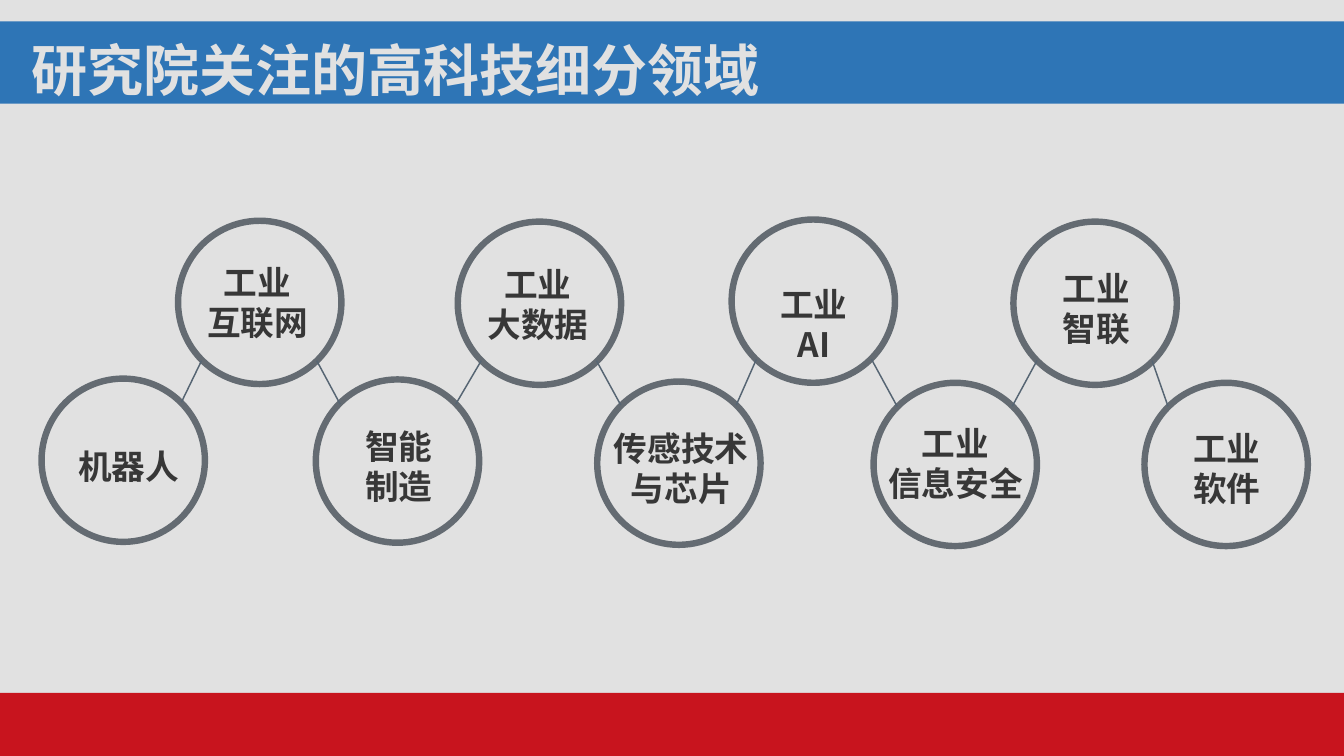
from lxml import etree
from pptx import Presentation
from pptx import util as u
from pptx.dml.color import RGBColor
from pptx.enum import shapes, text
from pptx.oxml.ns import qn

COLORS = {
    "background": "E1E1E1",
    "header": "2E75B6",
    "footer": "C8141E",
    "title": "E1E1E1",
    "label": "373737",
    "ring": "646B72",
    "link": "566573",
}
FONT = "Noto Sans CJK SC"
SLIDE_WIDTH, SLIDE_HEIGHT = 32, 18.01
DIAMETER = 3.89
MAP_BOX = (0.99, 5.23, 30.15, 7.78)

# name, ring left and top, label centre and top
FIELDS = [
    ("机器人", 0, 3.79, 2.07, 5.16),
    ("工业\n互联网", 3.25, 0.03, 5.14, 0.79),
    ("智能\n制造", 6.53, 3.81, 8.51, 4.70),
    ("工业\n大数据", 9.91, 0.05, 11.82, 0.84),
    ("传感技术\n与芯片", 13.23, 3.86, 15.23, 4.75),
    ("工业\nAI", 16.43, 0, 18.39, 1.30),
    ("工业\n信息安全", 19.81, 3.89, 21.76, 4.63),
    ("工业\n智联", 23.14, 0.05, 25.12, 0.92),
    ("工业\n软件", 26.26, 3.89, 28.22, 4.75),
]
LINKS = [
    (3.81, 3.36, 3.33, 4.35),
    (6.55, 3.36, 7.11, 4.40),
    (9.86, 4.40, 10.47, 3.36),
    (13.21, 3.36, 13.79, 4.42),
    (17.02, 3.33, 16.54, 4.42),
    (19.76, 3.33, 20.37, 4.45),
    (23.70, 3.36, 23.11, 4.45),
    (26.44, 3.36, 26.82, 4.45),
]


def color(name):
    return RGBColor.from_string(COLORS[name])


def add_band(slide, box, fill):
    band = slide.shapes.add_shape(shapes.MSO_SHAPE.RECTANGLE, *map(u.Cm, box))
    band.shadow.inherit = False
    band.fill.solid()
    band.fill.fore_color.rgb = color(fill)
    band.line.fill.background()


def add_words(slide, box, words, size, spacing, ink, align):
    holder = slide.shapes.add_textbox(*map(u.Cm, box))
    frame = holder.text_frame
    frame.word_wrap = True
    frame.margin_left = frame.margin_right = 0
    frame.margin_top = frame.margin_bottom = 0
    frame.text = words
    for paragraph in frame.paragraphs:
        paragraph.alignment = align
        paragraph.line_spacing = u.Pt(spacing)
        for run in paragraph.runs:
            run.font.size = u.Pt(size)
            run.font.bold = True
            run.font.name = FONT
            run.font.color.rgb = color(ink)
            east_asian = etree.SubElement(run.font._element, qn("a:ea"))
            east_asian.set("typeface", FONT)


def add_header(slide, box):
    left, top, width, height = box
    add_band(slide, box, "header")
    add_words(slide, (left + 0.74, top + 0.31, width - 1.48, height - 0.31),
              "研究院关注的高科技细分领域", 37.8, 46, "title", text.PP_ALIGN.LEFT)


def add_field_map(slide, box):
    left, top = box[:2]
    for name, ring_x, ring_y, label_x, label_y in FIELDS:
        add_words(slide, (left + label_x - DIAMETER / 2, top + label_y + 0.23, DIAMETER, 1.93),
                  name, 22.7, 27, "label", text.PP_ALIGN.CENTER)
        ring = slide.shapes.add_shape(
            shapes.MSO_SHAPE.OVAL, u.Cm(left + ring_x), u.Cm(top + ring_y),
            u.Cm(DIAMETER), u.Cm(DIAMETER))
        ring.shadow.inherit = False
        ring.fill.background()
        ring.line.color.rgb = color("ring")
        ring.line.width = u.Pt(4.33)
    for x1, y1, x2, y2 in LINKS:
        link = slide.shapes.add_connector(
            shapes.MSO_CONNECTOR.STRAIGHT, u.Cm(left + x1), u.Cm(top + y1),
            u.Cm(left + x2), u.Cm(top + y2))
        link.line.color.rgb = color("link")
        link.line.width = u.Pt(1)
        etree.SubElement(link._element.spPr, qn("a:effectLst"))


def main():
    deck = Presentation()
    deck.slide_width, deck.slide_height = u.Cm(SLIDE_WIDTH), u.Cm(SLIDE_HEIGHT)
    slide = deck.slides.add_slide(deck.slide_layouts[6])
    slide.background.fill.solid()
    slide.background.fill.fore_color.rgb = color("background")
    add_band(slide, (0, 16.51, SLIDE_WIDTH, 1.5), "footer")
    add_header(slide, (0, 0.51, SLIDE_WIDTH, 1.96))
    add_field_map(slide, MAP_BOX)
    deck.save("out.pptx")


if __name__ == "__main__":
    main()
